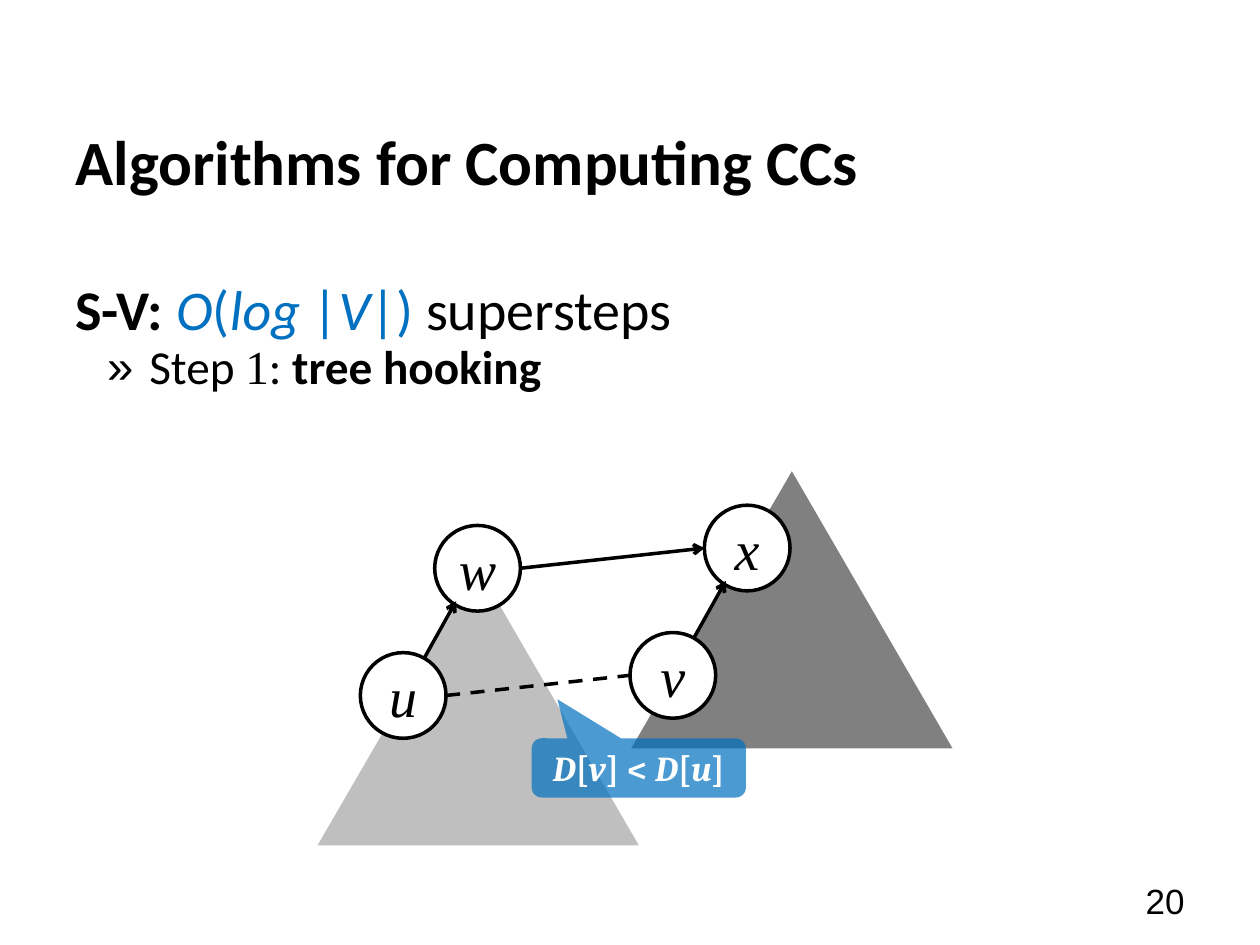
from dataclasses import dataclass

from lxml.etree import SubElement
from pptx import Presentation
from pptx.dml.color import RGBColor
from pptx.enum.dml import MSO_LINE_DASH_STYLE as Dash
from pptx.enum.shapes import MSO_CONNECTOR as Connector, MSO_SHAPE as Shape
from pptx.enum.text import MSO_ANCHOR as Anchor, MSO_AUTO_SIZE as AutoSize, PP_ALIGN as Align
from pptx.oxml.ns import qn
from pptx.util import Inches, Pt


@dataclass(frozen=True)
class Theme:
    black: str = "000000"
    white: str = "FFFFFF"
    blue: str = "0070C0"
    light_tree: str = "BFBFBF"
    dark_tree: str = "808080"
    text_font: str = "Calibri"
    math_font: str = "Times New Roman"
    callout_font: str = "Cambria"
    number_font: str = "Arial"
    title_size: int = 36
    body_size: int = 32
    step_size: int = 27
    small_size: int = 20
    line_width: int = 2


THEME = Theme()
CELL = Inches(1)  # the slide is a grid of 10 columns by 7.5 rows
COLUMNS, ROWS = 10, 7.5
RADIUS = 0.34
TREE_SIZE = (2.55, 2.2)
CHILD_STEP = (-0.59, 1.01)  # from a tree's root to its child
RIGHT, LEFT = (1, 0), (-1, 0)
UP_RIGHT, DOWN_LEFT = (0.49, -0.87), (-0.5, 0.77)


def grid(*cells):
    return [round(cell * CELL) for cell in cells]


def place(shape, *box):
    shape.left, shape.top, shape.width, shape.height = grid(*box)


def add_run(paragraph, text, size, font=THEME.text_font, color=THEME.black,
            bold=False, italic=False):
    run = paragraph.add_run()
    run.text = text
    run.font.size, run.font.name = Pt(size), font
    run.font.bold, run.font.italic = bold, italic
    run.font.color.rgb = RGBColor.from_string(color)


def add_formula(paragraph, parts, **style):
    """Write parts that alternate between italic and upright."""
    for index, part in enumerate(parts):
        add_run(paragraph, part, italic=index % 2 == 0, **style)


def set_bullet(paragraph, margin, indent, bullet=None):
    properties = paragraph._p.get_or_add_pPr()
    properties.set("marL", str(round(margin * CELL)))
    properties.set("indent", str(round(indent * CELL)))
    if bullet:
        SubElement(properties, qn("a:buChar"), char=bullet)
    else:
        SubElement(properties, qn("a:buNone"))


def fill_title(title):
    place(title, 0.5, 0.65, 9, 1.25)
    frame = title.text_frame
    frame.vertical_anchor, frame.auto_size = Anchor.MIDDLE, AutoSize.NONE
    paragraph = frame.paragraphs[0]
    paragraph.alignment = Align.LEFT
    add_run(paragraph, "Algorithms for Computing CCs", THEME.title_size, bold=True)


def fill_body(body):
    place(body, 0.5, 2.13, 9, 4.62)
    frame = body.text_frame
    frame.auto_size = AutoSize.NONE

    bound = frame.paragraphs[0]
    bound.space_before = Pt(2)
    set_bullet(bound, 0, 0)
    add_run(bound, "S-V: ", THEME.body_size, bold=True)
    add_formula(bound, ["O", "(", "log ", "|", "V", "|) "],
                size=THEME.body_size, color=THEME.blue)
    add_run(bound, "supersteps", THEME.body_size)

    step = frame.add_paragraph()
    step.level, step.space_before, step.line_spacing = 1, Pt(0), 0.95
    set_bullet(step, 0.5, -0.25, "»")
    add_run(step, " Step ", THEME.step_size)
    add_run(step, "1", THEME.step_size, THEME.math_font)
    add_run(step, ": ", THEME.step_size)
    add_run(step, "tree hooking", THEME.step_size, bold=True)


def add_slide_number(slide, number):
    box = slide.shapes.add_textbox(*grid(7.17, 6.95, 2.33, 0.4))
    frame = box.text_frame
    frame.word_wrap, frame.vertical_anchor = True, Anchor.MIDDLE
    paragraph = frame.paragraphs[0]
    paragraph.alignment = Align.RIGHT
    add_run(paragraph, number, THEME.small_size, THEME.number_font)


def add_filled(slide, kind, box, color):
    shape = slide.shapes.add_shape(kind, *grid(*box))
    shape.shadow.inherit = False
    shape.fill.solid()
    shape.fill.fore_color.rgb = RGBColor.from_string(color)
    shape.line.fill.background()
    return shape


def center_text(shape):
    frame = shape.text_frame
    frame.word_wrap, frame.vertical_anchor = False, Anchor.MIDDLE
    paragraph = frame.paragraphs[0]
    paragraph.alignment = Align.CENTER
    return paragraph


def draw_line(line):
    line.color.rgb = RGBColor.from_string(THEME.black)
    line.width = Pt(THEME.line_width)


def add_node(slide, label, center):
    x, y = center
    box = (x - RADIUS, y - RADIUS, 2 * RADIUS, 2 * RADIUS)
    node = add_filled(slide, Shape.OVAL, box, THEME.white)
    draw_line(node.line)
    add_run(center_text(node), label, THEME.body_size, THEME.math_font, italic=True)


def add_edge(slide, start, start_side, end, end_side, dashed=False):
    """Join two node centres, leaving and entering at the given sides."""
    points = [center + RADIUS * side
              for node, direction in ((start, start_side), (end, end_side))
              for center, side in zip(node, direction)]
    edge = slide.shapes.add_connector(Connector.STRAIGHT, *grid(*points))
    draw_line(edge.line)
    if dashed:
        edge.line.dash_style = Dash.DASH
    else:
        SubElement(edge.line._get_or_add_ln(), qn("a:tailEnd"), type="arrow")
    SubElement(edge._element.spPr, qn("a:effectLst"))


def add_tree(slide, corner, color, root, root_label, child_label):
    """Draw a tree with its root and one child, and return the child's centre."""
    child = tuple(a + b for a, b in zip(root, CHILD_STEP))
    add_filled(slide, Shape.ISOSCELES_TRIANGLE, (*corner, *TREE_SIZE), color)
    add_node(slide, root_label, root)
    add_node(slide, child_label, child)
    add_edge(slide, child, UP_RIGHT, root, DOWN_LEFT)
    return child


def add_callout(slide):
    callout = add_filled(slide, Shape.ROUNDED_RECTANGULAR_CALLOUT,
                         (4.22, 5.86, 1.7, 0.47), THEME.blue)
    for index, value in enumerate((-0.38, -1.16, 0.17)):
        callout.adjustments[index] = value
    color = callout.fill._xPr.find(qn("a:solidFill"))[0]
    SubElement(color, qn("a:alpha"), val="70000")
    add_formula(center_text(callout), ["D", "[", "v", "] < ", "D", "[", "u", "]"],
                size=THEME.small_size, font=THEME.callout_font,
                color=THEME.white, bold=True)


def main():
    presentation = Presentation()
    presentation.slide_width, presentation.slide_height = grid(COLUMNS, ROWS)
    slide = presentation.slides.add_slide(presentation.slide_layouts[1])

    # Text
    fill_title(slide.shapes.title)
    fill_body(slide.placeholders[1])
    add_slide_number(slide, "20")

    # Two trees and the edges between them
    w, x = (3.79, 4.51), (5.93, 4.35)
    u = add_tree(slide, (2.52, 4.51), THEME.light_tree, w, "w", "u")
    v = add_tree(slide, (5.01, 3.74), THEME.dark_tree, x, "x", "v")
    add_edge(slide, w, RIGHT, x, LEFT)
    add_edge(slide, u, RIGHT, v, LEFT, dashed=True)

    # Hooking condition
    add_callout(slide)
    presentation.save("out.pptx")


if __name__ == "__main__":
    main()
